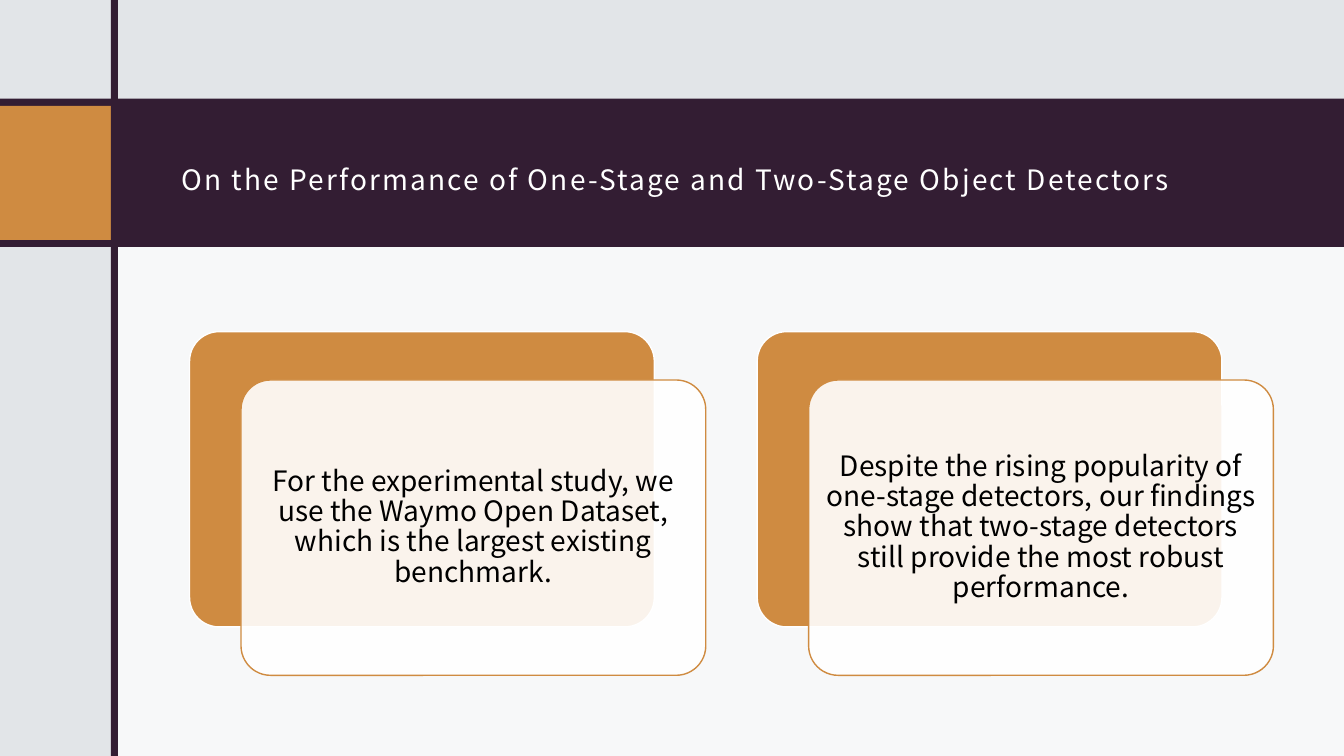
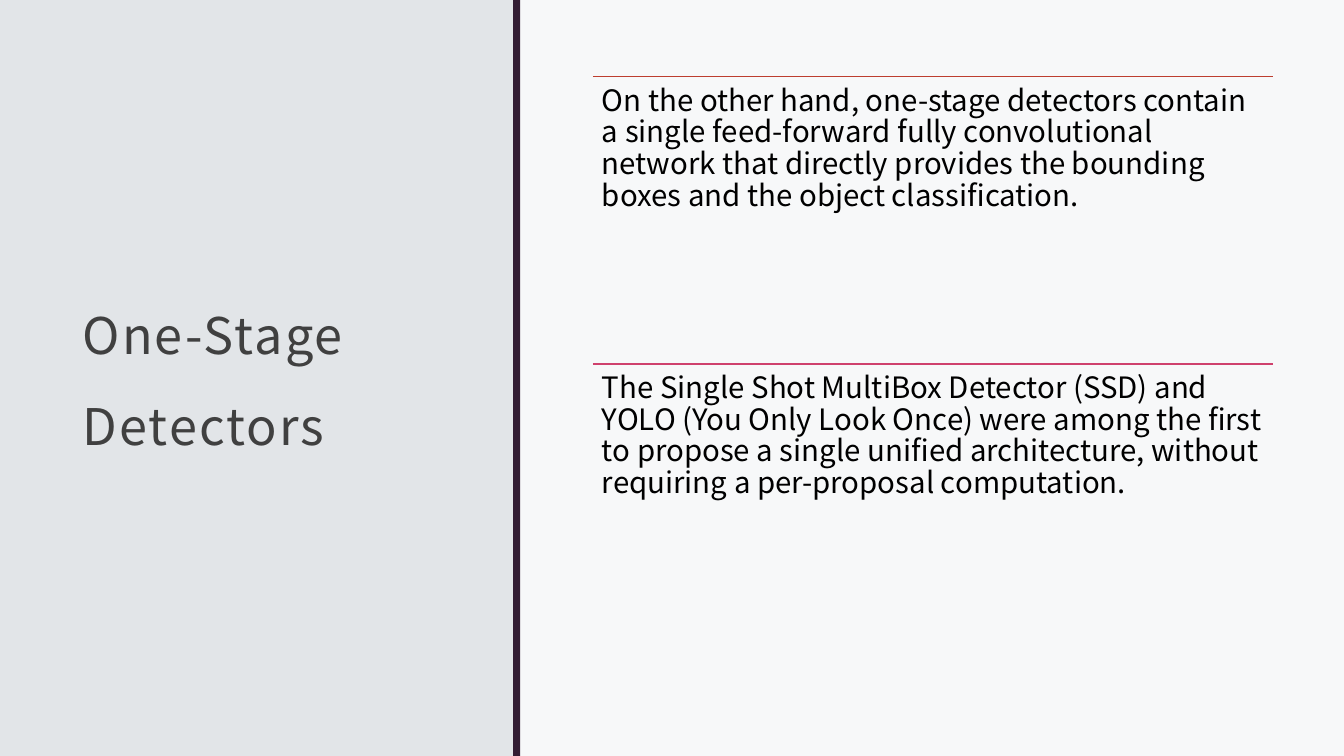
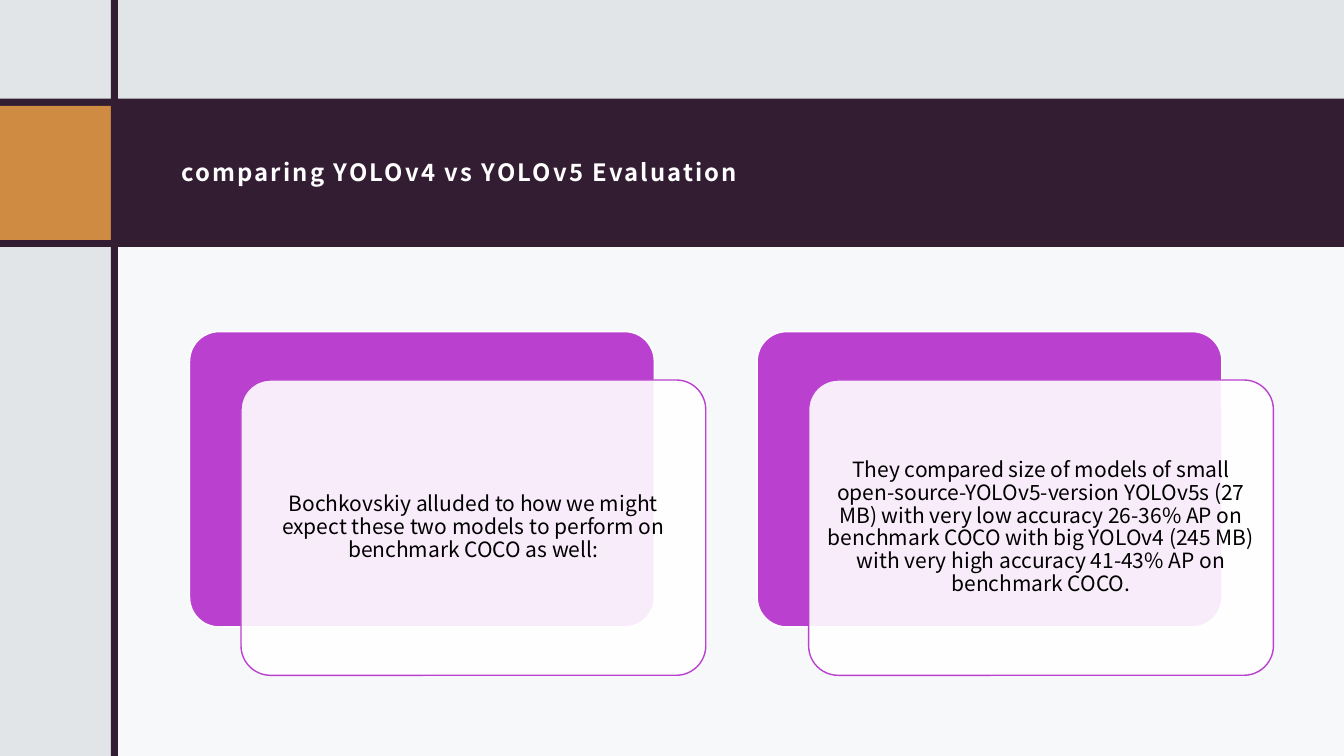
from dataclasses import dataclass

from lxml import etree
from pptx import Presentation
from pptx import util as u
from pptx.dml.color import RGBColor
from pptx.enum import shapes, text
from pptx.oxml import ns


@dataclass(frozen=True)
class Theme:
    font: str = "Noto Sans CJK JP"
    mist: str = "E2E5E8"
    plum: str = "331D33"
    ochre: str = "CF8B41"
    violet: str = "BA41CF"
    brick: str = "BD3E2F"
    rose: str = "CF416D"
    white: str = "FFFFFF"
    black: str = "000000"
    charcoal: str = "404040"
    band_title: int = 20
    small_band_title: int = 17
    side_title: int = 36
    card_text: int = 20
    small_card_text: int = 15
    list_text: int = 21
    title_tracking: str = "150"


theme = Theme()
width, height = 13.33, 7.5
rule_width = 0.07
title_insets = (0.12, 0.12, 0.12, 0.1)


def add_block(page, area, fill, opacity=100, line=None, rounded=False):
    kind = shapes.MSO_SHAPE.ROUNDED_RECTANGLE if rounded else shapes.MSO_SHAPE.RECTANGLE
    block = page.shapes.add_shape(kind, *map(u.Inches, area))
    block.shadow.inherit = False
    if rounded:
        block.adjustments[0] = 0.1
    block.fill.solid()
    block.fill.fore_color.rgb = RGBColor.from_string(fill)
    if opacity < 100:
        color = block._element.spPr.find(".//" + ns.qn("a:srgbClr"))
        etree.SubElement(color, ns.qn("a:alpha")).set("val", str(opacity * 1000))
    if line:
        block.line.color.rgb = RGBColor.from_string(line)
        block.line.width = u.Pt(1)
    else:
        block.line.fill.background()


def add_words(page, area, words, size, color, insets, spacing, middle=True,
              centred=False, bold=False, tracking=None):
    box = page.shapes.add_textbox(*map(u.Inches, area))
    frame = box.text_frame
    frame.word_wrap = True
    frame.margin_left, frame.margin_top, frame.margin_right, frame.margin_bottom = map(
        u.Inches, insets)
    frame.vertical_anchor = text.MSO_ANCHOR.MIDDLE if middle else text.MSO_ANCHOR.TOP
    para = frame.paragraphs[0]
    para.alignment = text.PP_ALIGN.CENTER if centred else text.PP_ALIGN.LEFT
    para.line_spacing = spacing
    span = para.add_run()
    span.text = words
    span.font.name = theme.font
    span.font.size = u.Pt(size)
    span.font.bold = bold
    span.font.color.rgb = RGBColor.from_string(color)
    if tracking:
        span.font._element.set("spc", tracking)


deck = Presentation()
deck.slide_width = u.Inches(width)
deck.slide_height = u.Inches(height)
pages = [deck.slides.add_slide(deck.slide_layouts[6]) for _ in range(3)]
for page in pages:
    page.background.fill.solid()
    page.background.fill.fore_color.rgb = RGBColor.from_string(theme.mist)

card_slides = [
    (pages[0], "On the Performance of One-Stage and Two-Stage Object Detectors",
     1.14, theme.band_title, False, theme.ochre, theme.card_text, 0.08,
     ["For the experimental study, we use the Waymo Open Dataset, which is the "
      "largest existing benchmark.",
      "Despite the rising popularity of one-stage detectors, our findings show that "
      "two-stage detectors still provide the most robust performance."]),
    (pages[2], "comparing YOLOv4 vs YOLOv5 Evaluation",
     1.08, theme.small_band_title, True, theme.violet, theme.small_card_text, 0.06,
     ["Bochkovskiy alluded to how we might expect these two models to perform on "
      "benchmark COCO as well:",
      "They compared size of models of small open-source-YOLOv5-version YOLOv5s "
      "(27 MB) with very low accuracy 26-36% AP on benchmark COCO with big YOLOv4 "
      "(245 MB) with very high accuracy 41-43% AP on benchmark COCO."]),
]
card_left, card_top, card_width, card_height = 1.88, 3.29, 4.61, 2.93
card_step, shift_x, shift_y, card_pad = 5.63, 0.51, 0.48, 0.09

for page, title, title_top, title_size, bold, accent, size, inset, cards in card_slides:
    add_block(page, (1.14, 2.33, width - 1.14, height - 2.33), theme.white, 75)
    add_block(page, (0, 0.98, width, 1.47), theme.plum)
    add_words(page, (1.68, title_top, 10.95, 1.13), title, title_size, theme.white,
              title_insets, 1.4, bold=bold, tracking=theme.title_tracking)
    add_block(page, (0, 1.05, 1.1, 1.33), theme.ochre)
    add_block(page, (1.1, 0, rule_width, height), theme.plum)
    for index, words in enumerate(cards):
        left = card_left + index * card_step
        front_left, front_top = left + shift_x, card_top + shift_y
        add_block(page, (left, card_top, card_width, card_height), accent,
                  line=theme.white, rounded=True)
        add_block(page, (front_left, front_top, card_width, card_height), theme.white,
                  90, line=accent, rounded=True)
        add_words(page, (front_left + card_pad, front_top + card_pad,
                         card_width - 2 * card_pad, card_height - 2 * card_pad),
                  words, size, theme.black, (inset,) * 4, 0.9, centred=True)

page = pages[1]
add_words(page, (0.7, 0.77, 3.73, 5.68), "One-Stage Detectors", theme.side_title,
          theme.charcoal, title_insets, 1.5, tracking=theme.title_tracking)
add_block(page, (5.1, 0, width - 5.1, height), theme.white, 75)
add_block(page, (5.09, 0, rule_width, height), theme.plum)

statements = [
    (theme.brick,
     "On the other hand, one-stage detectors contain a single feed-forward fully "
     "convolutional network that directly provides the bounding boxes and the object "
     "classification."),
    (theme.rose,
     "The Single Shot MultiBox Detector (SSD) and YOLO (You Only Look Once) were among "
     "the first to propose a single unified architecture, without requiring a "
     "per-proposal computation."),
]
list_left, list_top, list_width, row_height = 5.88, 0.76, 6.75, 2.85
for index, (color, words) in enumerate(statements):
    top = list_top + index * row_height
    divider = page.shapes.add_connector(
        shapes.MSO_CONNECTOR.STRAIGHT, u.Inches(list_left), u.Inches(top),
        u.Inches(list_left + list_width), u.Inches(top))
    divider.line.color.rgb = RGBColor.from_string(color)
    divider.line.width = u.Pt(1)
    etree.SubElement(divider._element.spPr, ns.qn("a:effectLst"))
    add_words(page, (list_left, top, list_width, row_height), words, theme.list_text,
              theme.black, (0.09,) * 4, 0.9, middle=False)

deck.save("out.pptx")
